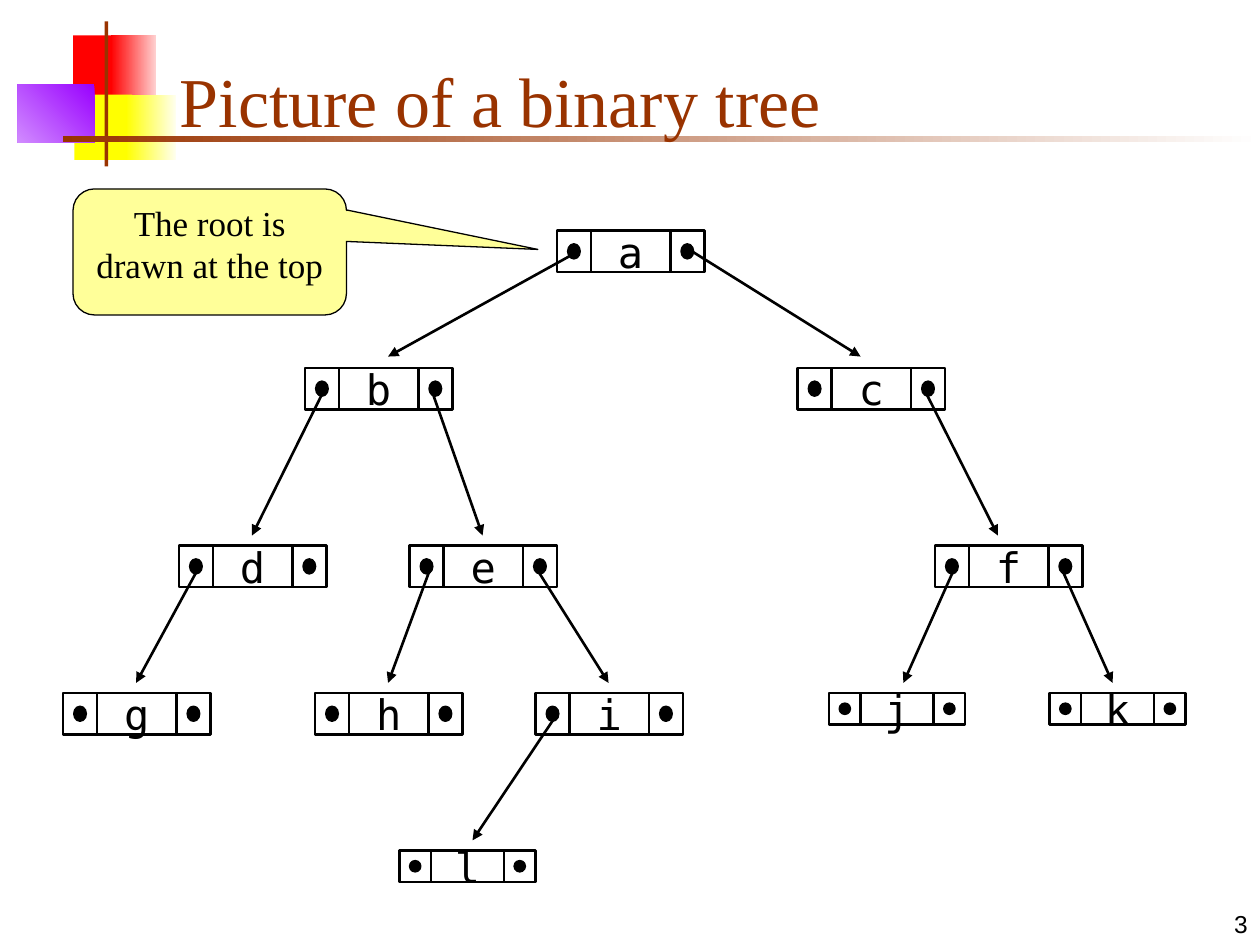
from lxml import etree
from pptx import Presentation
from pptx.dml.color import RGBColor
from pptx.enum.shapes import MSO_CONNECTOR, MSO_SHAPE
from pptx.enum.text import MSO_ANCHOR, PP_ALIGN
from pptx.oxml.ns import qn
from pptx.util import Inches, Pt

BLACK = "000000"
BROWN = "993300"
SERIF = "Times New Roman"

LARGE = {"cell": 0.27, "label": 0.63, "height": 0.33, "dot": (0.09, 0.11)}
SMALL = {"cell": 0.25, "label": 0.58, "height": 0.25, "dot": (0.08, 0.08)}

NODES = [
    ("a", 4.42, 1.83, LARGE),
    ("b", 2.42, 2.92, LARGE),
    ("c", 6.33, 2.92, LARGE),
    ("d", 1.42, 4.33, LARGE),
    ("e", 3.25, 4.33, LARGE),
    ("g", 0.5, 5.5, LARGE),
    ("h", 2.5, 5.5, LARGE),
    ("i", 4.25, 5.5, LARGE),
    ("l", 3.17, 6.75, SMALL),
    ("f", 7.42, 4.33, LARGE),
    ("j", 6.58, 5.5, SMALL),
    ("k", 8.33, 5.5, SMALL),
]

ARROWS = [
    (4.58, 2, 3.08, 2.83),
    (5.5, 2, 6.83, 2.83),
    (2.58, 3.08, 2, 4.25),
    (3.42, 3.08, 3.83, 4.25),
    (1.58, 4.5, 1.08, 5.42),
    (3.42, 4.5, 3.08, 5.42),
    (4.25, 4.5, 4.83, 5.42),
    (4.42, 5.67, 3.75, 6.67),
    (7.33, 3.08, 7.92, 4.25),
    (7.58, 4.5, 7.17, 5.42),
    (8.42, 4.5, 8.83, 5.42),
]

DECORATION = [
    (0.58, 0.28, 0.35, 0.52, ("FF0000",), 0),
    (0.88, 0.28, 0.36, 0.52, ("FFD1D1", "FF0000"), 180),
    (0.59, 0.75, 0.46, 0.52, ("FFFF00",), 0),
    (1, 0.75, 0.4, 0.52, ("FFFFF0", "FFFF00"), 180),
    (0.14, 0.67, 0.61, 0.46, ("9900FF", "D18BFF"), 225),
    (0.83, 0.17, 0.03, 1.15, (BROWN,), 0),
    (0.5, 1.08, 9.5, 0.05, ("FFFFFF", BROWN), 180),
]


def color(value):
    return RGBColor.from_string(value)


def add_shape(parent, kind, left, top, width, height, fill=None, line_width=None):
    shape = parent.shapes.add_shape(
        kind, Inches(left), Inches(top), Inches(width), Inches(height)
    )
    shape.shadow.inherit = False
    if fill:
        shape.fill.solid()
        shape.fill.fore_color.rgb = color(fill)
    else:
        shape.fill.background()
    if line_width:
        shape.line.color.rgb = color(BLACK)
        shape.line.width = Pt(line_width)
    else:
        shape.line.fill.background()
    return shape


def write_text(shape, text, font=SERIF, size=20, ink=BLACK,
               align=PP_ALIGN.CENTER, anchor=MSO_ANCHOR.TOP, wrap=True):
    frame = shape.text_frame
    frame.word_wrap = wrap
    frame.vertical_anchor = anchor
    paragraph = frame.paragraphs[0]
    paragraph.alignment = align
    run = paragraph.add_run()
    run.text = text
    run.font.name = font
    run.font.size = Pt(size)
    run.font.color.rgb = color(ink)


def add_text_box(slide, left, top, width, height, text, **text_format):
    box = slide.shapes.add_textbox(
        Inches(left), Inches(top), Inches(width), Inches(height)
    )
    write_text(box, text, anchor=MSO_ANCHOR.BOTTOM, **text_format)


def add_decoration(slide):
    for left, top, width, height, colors, angle in DECORATION:
        shape = add_shape(slide, MSO_SHAPE.RECTANGLE, left, top, width, height, colors[0])
        if len(colors) > 1:
            shape.fill.gradient()
            shape.fill.gradient_angle = angle
            for stop, value in zip(shape.fill.gradient_stops, colors):
                stop.color.rgb = color(value)


def add_node(slide, letter, left, top, size):
    group = slide.shapes.add_group_shape()
    cell, label, height = size["cell"], size["label"], size["height"]
    dot_width, dot_height = size["dot"]
    for cell_left in (left, left + cell + label):
        add_shape(group, MSO_SHAPE.RECTANGLE, cell_left, top, cell, height, line_width=1.5)
        add_shape(group, MSO_SHAPE.OVAL, cell_left + (cell - dot_width) / 2,
                  top + (height - dot_height) / 2, dot_width, dot_height,
                  fill=BLACK, line_width=1.5)
    box = add_shape(group, MSO_SHAPE.FLOWCHART_PROCESS, left + cell, top,
                    label, height, line_width=1.5)
    write_text(box, letter, font="DejaVu Sans Mono", size=24,
               anchor=MSO_ANCHOR.MIDDLE, wrap=False)


def add_arrow(slide, *ends):
    arrow = slide.shapes.add_connector(
        MSO_CONNECTOR.STRAIGHT, *(Inches(end) for end in ends)
    )
    arrow.line.color.rgb = color(BLACK)
    arrow.line.width = Pt(1.5)
    etree.SubElement(arrow.line._get_or_add_ln(), qn("a:tailEnd"), type="triangle")
    etree.SubElement(arrow._element.spPr, qn("a:effectLst"))


def add_callout(slide):
    callout = add_shape(slide, MSO_SHAPE.ROUNDED_RECTANGULAR_CALLOUT,
                        0.58, 1.5, 2.17, 1, fill="FFFF99", line_width=0.75)
    for index, value in enumerate((1.2, -0.02, 0.17)):
        callout.adjustments[index] = value
    write_text(callout, "The root is drawn at the top")


def main():
    presentation = Presentation()
    presentation.slide_width = Inches(10)
    presentation.slide_height = Inches(7.5)
    slide = presentation.slides.add_slide(presentation.slide_layouts[6])
    add_decoration(slide)
    add_text_box(slide, 7.92, 7, 2.08, 0.5, "3", font="Arial", size=14,
                 align=PP_ALIGN.RIGHT)
    add_text_box(slide, 1.33, 0.25, 8.52, 0.92, "Picture of a binary tree",
                 size=40, ink=BROWN, align=PP_ALIGN.LEFT)
    for node in NODES:
        add_node(slide, *node)
    for arrow in ARROWS:
        add_arrow(slide, *arrow)
    add_callout(slide)
    presentation.save("out.pptx")


if __name__ == "__main__":
    main()
